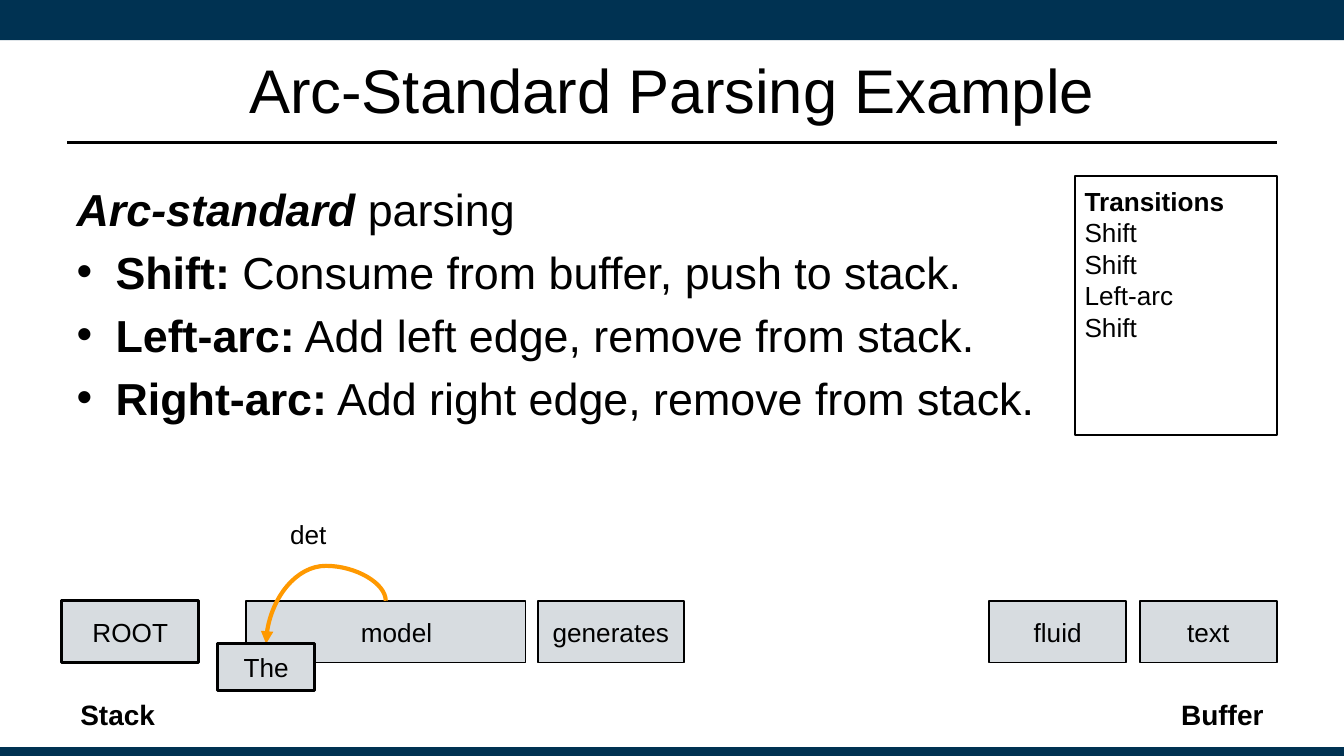
from lxml import etree
from pptx import Presentation
from pptx.dml.color import RGBColor
from pptx.enum.shapes import MSO_CONNECTOR, MSO_SHAPE
from pptx.enum.text import MSO_ANCHOR, PP_ALIGN
from pptx.oxml.ns import qn
from pptx.util import Inches, Pt

RECT = MSO_SHAPE.RECTANGLE
LINE, CURVE = MSO_CONNECTOR.STRAIGHT, MSO_CONNECTOR.CURVE
TOP, MIDDLE = MSO_ANCHOR.TOP, MSO_ANCHOR.MIDDLE
LEFT, CENTER, RIGHT = PP_ALIGN.LEFT, PP_ALIGN.CENTER, PP_ALIGN.RIGHT
NAVY = RGBColor(0x00, 0x32, 0x52)
GREY = RGBColor(0xD7, 0xDC, 0xE0)
BLACK = RGBColor(0x00, 0x00, 0x00)
ORANGE = RGBColor(0xFF, 0x99, 0x00)

WIDE, EDGE = 10, 0.5
HIGH = WIDE * 9 / 16
SPAN = WIDE - 2 * EDGE
BODY = 1.31
ROW, TALL, CELL = 4.47, 0.46, 1.02
WORDS = [
    ("ROOT", 0.46, CELL, 1.5, 0.1),
    ("model", 1.83, 2.08, 1, 0.26),
    ("generates", 4, 1.09, 1, 0.1),
    ("fluid", 7.36, CELL, 1, 0.1),
    ("text", 8.48, CELL, 1, 0.1),
]
RULES = [
    ("Shift:", " Consume from buffer, push to stack."),
    ("Left-arc:", " Add left edge, remove from stack."),
    ("Right-arc:", " Add right edge, remove from stack."),
]
STEPS = ["Shift", "Shift", "Left-arc", "Shift"]


def inches(*sizes):
    """Turn numbers into lengths."""
    return [Inches(size) for size in sizes]


def setup(frame, side, rim, anchor=TOP, lead=None):
    """Set the insets, wrap and anchor of a text frame."""
    form = {
        "margin_left": Inches(side if lead is None else lead),
        "margin_right": Inches(side),
        "margin_top": Inches(rim),
        "margin_bottom": Inches(rim),
        "vertical_anchor": anchor,
        "word_wrap": True,
    }
    for name, value in form.items():
        setattr(frame, name, value)


def write(para, text, size, **style):
    """Add one run of text."""
    run = para.add_run()
    run.text = text
    run.font.color.rgb = BLACK
    form = {"name": "Arial", "size": Pt(size), **style}
    for name, value in form.items():
        setattr(run.font, name, value)


def bullet(para):
    """Give a paragraph a hanging bullet."""
    para.space_before = Pt(5)
    props = para._p.get_or_add_pPr()
    props.set("marL", str(Inches(0.29)))
    props.set("indent", str(-Inches(0.29)))
    etree.SubElement(props, qn("a:buFont")).set("typeface", "Arial")
    etree.SubElement(props, qn("a:buChar")).set("char", "•")


def box(slide, at, fill=None, width=None):
    """Draw a rectangle with optional fill and outline."""
    shape = slide.shapes.add_shape(RECT, *inches(*at))
    shape.shadow.inherit = False
    if fill is None:
        shape.fill.background()
    else:
        shape.fill.solid()
        shape.fill.fore_color.rgb = fill
    if width is None:
        shape.line.fill.background()
    else:
        shape.line.color.rgb = BLACK
        shape.line.width = Pt(width)
    return shape


def word(slide, text, at, width, lead=0.1):
    """Draw a token box with centred text."""
    frame = box(slide, at, GREY, width).text_frame
    setup(frame, 0.1, 0.1, MIDDLE, lead)
    para = frame.paragraphs[0]
    para.alignment = CENTER
    write(para, text, 14)


def label(slide, text, at, size, align=LEFT, bold=False):
    """Add a one-line text box."""
    frame = slide.shapes.add_textbox(*inches(*at)).text_frame
    setup(frame, 0.1, 0.1)
    para = frame.paragraphs[0]
    para.alignment = align
    write(para, text, size, bold=bold)


def link(slide, kind, ends, color, width):
    """Draw a connector without a shadow."""
    line = slide.shapes.add_connector(kind, *inches(*ends))
    line.line.color.rgb = color
    line.line.width = Pt(width)
    etree.SubElement(line._element.spPr, qn("a:effectLst"))
    return line


def arc(slide, start, end, rise):
    """Draw a curved arrow that leaves and lands vertically."""
    (x, y), (left, low) = start, end
    wide, drop = x - left, low - y
    mid, half = (x + left) / 2, (y + low) / 2
    ends = (mid - drop / 2, half - wide / 2, mid + drop / 2, half + wide / 2)
    line = link(slide, CURVE, ends, ORANGE, 2.25)
    props = line._element.spPr
    props.find(qn("a:xfrm")).set("rot", "5400000")
    guides = props.find(qn("a:prstGeom")).get_or_add_avLst()
    guide = etree.SubElement(guides, qn("a:gd"))
    guide.set("name", "adj1")
    guide.set("fmla", f"val {round(-rise / drop * 100000)}")
    tail = etree.SubElement(props.find(qn("a:ln")), qn("a:tailEnd"))
    tail.set("type", "triangle")


def head(slide):
    """Draw the bands, the rule and the title."""
    box(slide, (0, 0, WIDE, 0.3), NAVY)
    box(slide, (0, 5.56, WIDE, HIGH - 5.56), NAVY)
    link(slide, LINE, (EDGE, 1.06, WIDE - EDGE, 1.06), BLACK, 1.25)
    title = slide.shapes.title
    title.left, title.top, title.width, title.height = inches(EDGE, 0.19, SPAN, 0.94)
    setup(title.text_frame, 0.07, 0.04, MIDDLE)
    para = title.text_frame.paragraphs[0]
    para.alignment = CENTER
    write(para, "Arc-Standard Parsing Example", 33)


def rules(slide):
    """Write the list of parsing actions."""
    frame = slide.shapes.add_textbox(*inches(EDGE, BODY, SPAN, 3.71)).text_frame
    setup(frame, 0.07, 0.04)
    para = frame.paragraphs[0]
    write(para, "Arc-standard", 24, bold=True, italic=True)
    write(para, " parsing", 24)
    for name, text in RULES:
        para = frame.add_paragraph()
        bullet(para)
        write(para, name, 24, bold=True)
        write(para, text, 24)


def steps(slide):
    """Write the box of transitions so far."""
    frame = box(slide, (8, BODY, 1.5, 1.93), None, 1).text_frame
    setup(frame, 0.07, 0.07)
    write(frame.paragraphs[0], "Transitions", 14, bold=True)
    for step in STEPS:
        write(frame.add_paragraph(), step, 14)
    for para in frame.paragraphs:
        para.alignment = LEFT


def main():
    """Build the slide."""
    deck = Presentation()
    deck.slide_width, deck.slide_height = inches(WIDE, HIGH)
    slide = deck.slides.add_slide(deck.slide_layouts[5])
    head(slide)
    rules(slide)
    steps(slide)
    for text, left, wide, width, lead in WORDS:
        word(slide, text, (left, ROW, wide, TALL), width, lead)
    label(slide, "Stack", (EDGE, 5.09, 1.24, 0.4), 15, LEFT, True)
    label(slide, "Buffer", (8.26, 5.09, 1.24, 0.4), 15, RIGHT, True)
    arc(slide, (2.87, ROW), (1.98, 4.79), 0.26)
    label(slide, "det", (2.06, 3.76, 0.72, 0.44), 14)
    word(slide, "The", (1.62, 4.79, 0.72, 0.35), 1.5)
    deck.save("out.pptx")


if __name__ == "__main__":
    main()
